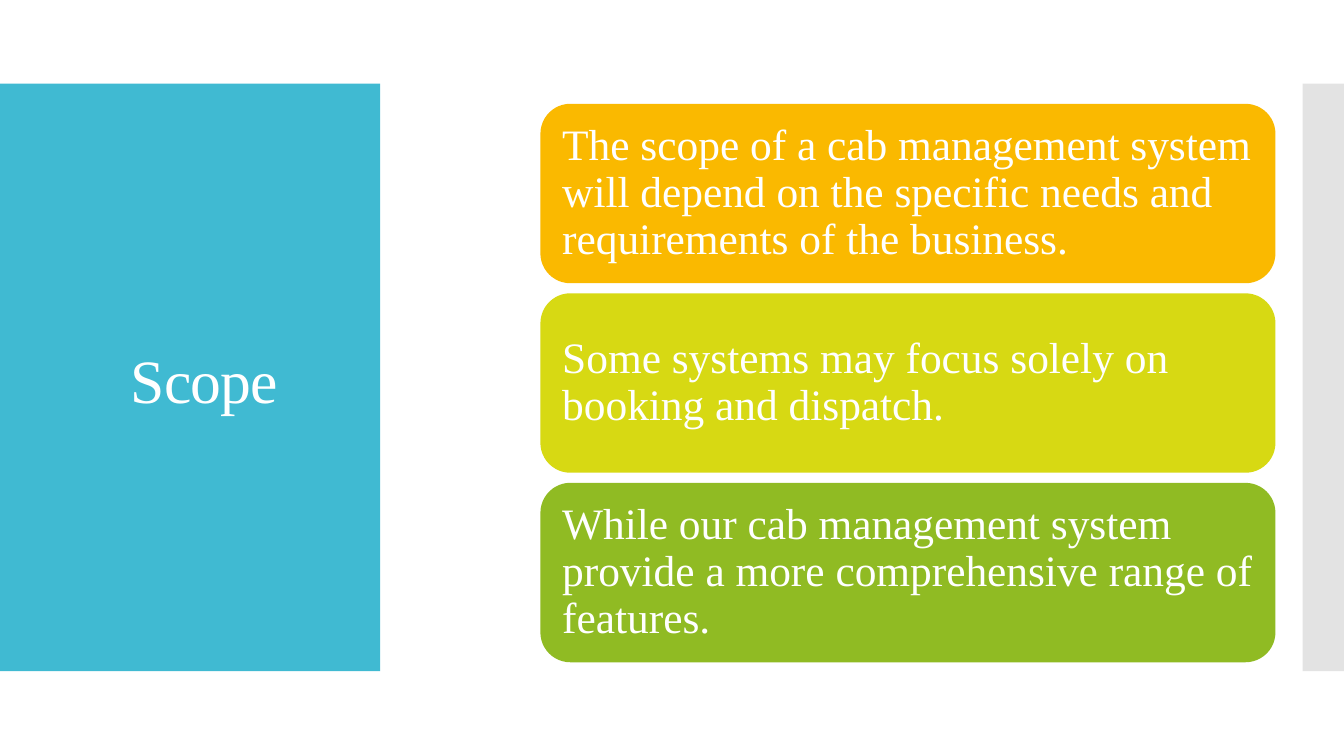
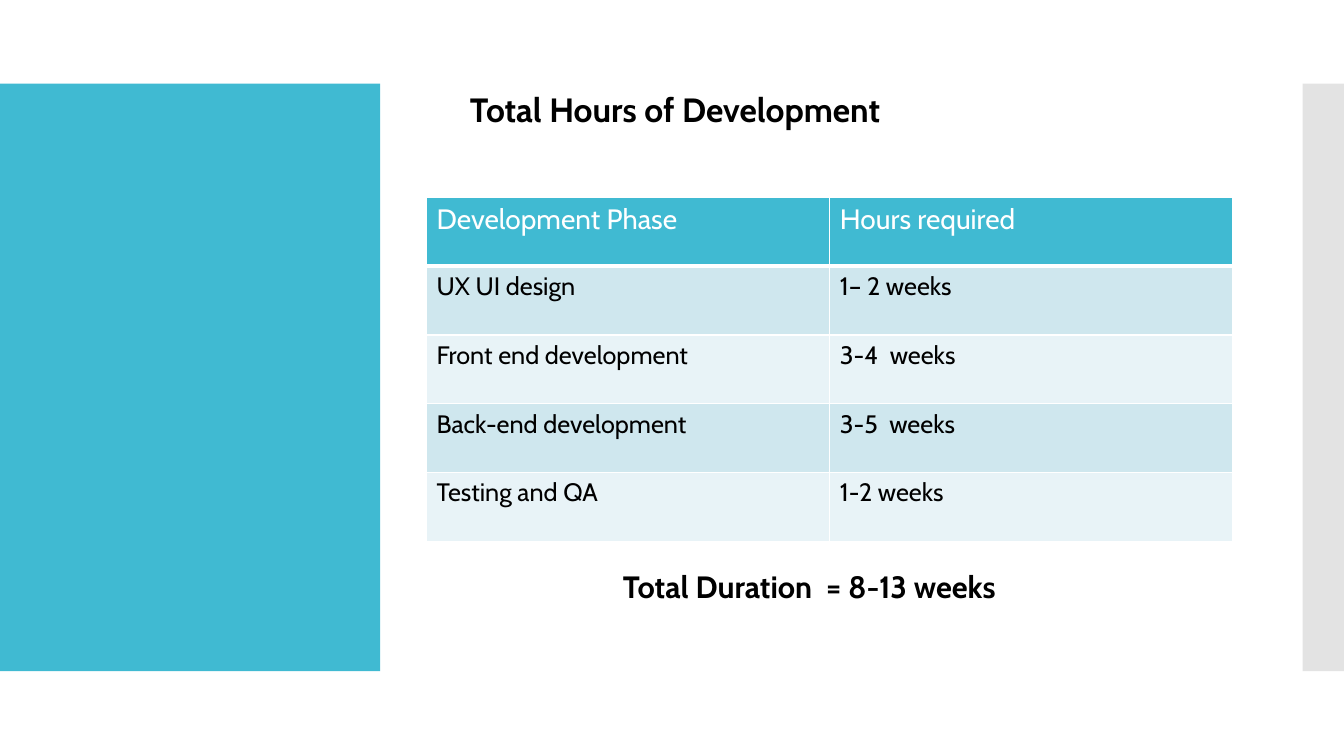
from lxml.etree import SubElement
from pptx import Presentation
from pptx.dml.color import RGBColor
from pptx.enum.shapes import MSO_SHAPE as Preset
from pptx.enum.text import MSO_ANCHOR as Anchor, PP_ALIGN as Align
from pptx.oxml.ns import qn
from pptx.util import Inches, Pt

COLOURS = {
    "teal": "40BAD2", "grey": "C8C8C8", "white": "FFFFFF", "black": "000000",
    "amber": "FAB900", "lime": "D7D913", "green": "90BB23",
    "row_dark": "CFE7EE", "row_light": "E8F3F7",
}
SERIF, SANS = "Times New Roman", "Cabin"
SLIDE_W, SLIDE_H = 13.33, 7.5
BAND_TOP, BAND_H = 0.83, 5.83

SCOPE_POINTS = [
    ("amber", "The scope of a cab management system will depend on the specific "
              "needs and requirements of the business."),
    ("lime", "Some systems may focus solely on booking and dispatch."),
    ("green", "While our cab management system provide a more comprehensive "
              "range of features."),
]
PHASES = [
    ("Development Phase", "Hours required"),
    ("UX UI design", "1– 2 weeks"),
    ("Front end development", "3-4  weeks"),
    ("Back-end development", "3-5  weeks"),
    ("Testing and QA", "1-2 weeks"),
]


def rgb(name):
    return RGBColor.from_string(COLOURS[name])


def write(frame, text, font, size, colour, bold=False, **paragraph_format):
    """Put one formatted paragraph into a text frame."""
    frame.word_wrap = True
    paragraph = frame.paragraphs[0]
    for name, value in {"alignment": Align.LEFT, **paragraph_format}.items():
        setattr(paragraph, name, value)
    run = paragraph.add_run()
    run.text = text
    for name, value in {"name": font, "size": Pt(size), "bold": bold}.items():
        setattr(run.font, name, value)
    run.font.color.rgb = rgb(colour)
    return run


def add_panel(slide, preset, box, colour):
    panel = slide.shapes.add_shape(preset, *map(Inches, box))
    panel.shadow.inherit = False
    panel.fill.solid()
    panel.fill.fore_color.rgb = rgb(colour)
    panel.line.fill.background()
    return panel


def place_title(slide, box, anchor):
    title = slide.shapes.title
    title.left, title.top, title.width, title.height = map(Inches, box)
    title.text_frame.vertical_anchor = anchor
    return title.text_frame


def share_bands(slide):
    """Draw the side bands and hand them to the layout, behind the titles."""
    teal_band = add_panel(slide, Preset.RECTANGLE, (0, BAND_TOP, 3.77, BAND_H), "teal")
    grey_band = add_panel(slide, Preset.RECTANGLE,
                          (SLIDE_W - 0.41, BAND_TOP, 0.41, BAND_H), "grey")
    grey_colour = grey_band.element.spPr.find(qn("a:solidFill"))[0]
    SubElement(grey_colour, qn("a:alpha"), val="50000")
    for band in (grey_band, teal_band):
        slide.slide_layout.shapes.element.insert(2, band.element)


def add_scope_cards(slide, box, gap=0.1):
    """Stack one rounded card per point, evenly inside the box."""
    left, top, width, height = box
    card_h = (height - gap * (len(SCOPE_POINTS) - 1)) / len(SCOPE_POINTS)
    for index, (colour, point) in enumerate(SCOPE_POINTS):
        card_top = top + index * (card_h + gap)
        card = add_panel(slide, Preset.ROUNDED_RECTANGLE,
                         (left, card_top, width, card_h), colour)
        frame = card.text_frame
        insets = {"margin_left": 0.13, "margin_top": 0.13,
                  "margin_right": 0.1, "margin_bottom": 0.13}
        for name, inset in insets.items():
            setattr(frame, name, Inches(inset))
        frame.vertical_anchor = Anchor.MIDDLE
        write(frame, point, SERIF, 31, "white", line_spacing=0.9)


def set_borders(cell, top, bottom):
    """White borders; top and bottom widths are in points."""
    properties = cell._tc.get_or_add_tcPr()
    for index, (side, width) in enumerate(
            {"lnL": 1, "lnR": 1, "lnT": top, "lnB": bottom}.items()):
        border = SubElement(properties, qn(f"a:{side}"), w=str(Pt(width)))
        fill = SubElement(border, qn("a:solidFill"))
        SubElement(fill, qn("a:srgbClr"), val=COLOURS["white"])
        properties.insert(index, border)


def add_phase_table(slide, box):
    table = slide.shapes.add_table(len(PHASES), len(PHASES[0]), *map(Inches, box)).table
    for row, phase in enumerate(PHASES):
        header = row == 0
        fill = "teal" if header else ("row_light", "row_dark")[row % 2]
        for column, text in enumerate(phase):
            cell = table.cell(row, column)
            cell.fill.solid()
            cell.fill.fore_color.rgb = rgb(fill)
            set_borders(cell, top=3 if row == 1 else 1, bottom=3 if header else 1)
            write(cell.text_frame, text, SANS, 20 if header else 18,
                  "white" if header else "black")


def build_scope(slide):
    heading = place_title(slide, (0.64, 1.84, 2.78, 2.34), Anchor.BOTTOM)
    run = write(heading, "Scope", SERIF, 44, "white",
                alignment=Align.CENTER, line_spacing=0.9)
    run.font._element.set("spc", "-60")
    add_scope_cards(slide, (5.36, 1.03, 7.29, 5.54))


def build_hours(slide):
    heading = place_title(slide, (4.56, BAND_TOP, 6.8, 0.5), Anchor.TOP)
    write(heading, "Total Hours of Development", SANS, 24, "black", bold=True)
    add_phase_table(slide, (4.23, 1.96, 8, 3.41))
    total = slide.shapes.add_textbox(*map(Inches, (6.08, 5.58, 5.57, 0.47)))
    write(total.text_frame, "Total Duration  = 8-13 weeks", SANS, 22, "black", bold=True)


def main():
    deck = Presentation()
    deck.slide_width, deck.slide_height = Inches(SLIDE_W), Inches(SLIDE_H)
    title_only = deck.slide_layouts[5]
    scope, hours = (deck.slides.add_slide(title_only) for _ in range(2))
    share_bands(scope)
    build_scope(scope)
    build_hours(hours)
    deck.save("out.pptx")


if __name__ == "__main__":
    main()
